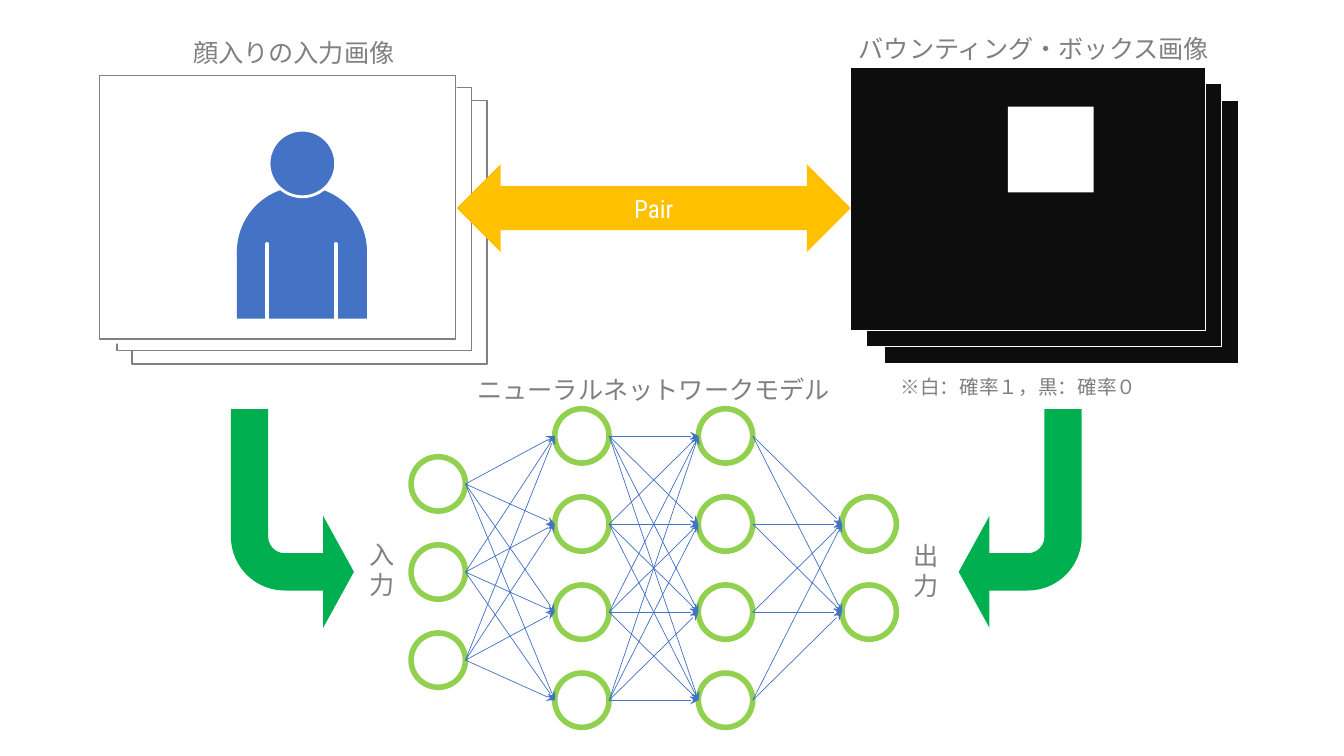
from itertools import pairwise, product
from typing import NamedTuple, Optional

from lxml import etree
from pptx import Presentation
from pptx.dml.color import RGBColor
from pptx.enum.shapes import MSO_CONNECTOR, MSO_SHAPE
from pptx.enum.text import MSO_ANCHOR, PP_ALIGN
from pptx.oxml.ns import qn
from pptx.shapes.autoshape import Shape
from pptx.shapes.connector import Connector
from pptx.slide import Slide
from pptx.util import Cm, Pt

WHITE = RGBColor(0xFF, 0xFF, 0xFF)
BLACK = RGBColor(0x0D, 0x0D, 0x0D)
GRAY = RGBColor(0x80, 0x80, 0x80)
BLUE = RGBColor(0x44, 0x72, 0xC4)
LIME = RGBColor(0x92, 0xD0, 0x50)
GREEN = RGBColor(0x00, 0xB0, 0x50)
GOLD = RGBColor(0xFF, 0xC0, 0x00)

RECT = MSO_SHAPE.RECTANGLE
OVAL = MSO_SHAPE.OVAL
BENT = MSO_SHAPE.BENT_ARROW
PAIR = MSO_SHAPE.LEFT_RIGHT_ARROW
LINE = MSO_CONNECTOR.STRAIGHT
LEFT, CENTER = PP_ALIGN.LEFT, PP_ALIGN.CENTER
MIDDLE = MSO_ANCHOR.MIDDLE

LATIN = "Roboto Condensed"
ASIAN = "Noto Sans CJK JP"


class Form(NamedTuple):
    kind: MSO_SHAPE
    x: float
    y: float
    w: float
    h: float
    fill: Optional[RGBColor] = None
    line: Optional[RGBColor] = None
    width: float = 1


class Label(NamedTuple):
    text: str
    x: float
    y: float
    w: float
    h: float
    size: float = 18
    align: PP_ALIGN = CENTER


class Layer(NamedTuple):
    top: float
    count: int


CARD_W, CARD_H = 8.94, 6.63
BLACKS = [Form(RECT, x, y, CARD_W, CARD_H, BLACK, WHITE)
          for x, y in ((22.28, 2.54), (21.84, 2.11), (21.44, 1.7))]
WHITES = [Form(RECT, x, y, CARD_W, CARD_H, WHITE, GRAY)
          for x, y in ((3.33, 2.54), (2.95, 2.21))]
PERSON = [
    Form(RECT, 2.57, 2.03, CARD_W, CARD_H, WHITE),
    Form(OVAL, 5.97, 4.7, 3.28, 3.3, BLUE),
    Form(OVAL, 6.78, 3.28, 1.68, 1.68, BLUE, WHITE, 2),
    Form(RECT, 5.97, 6.35, 3.28, 1.68, BLUE),
]
ARMS = (6.73, 8.46)
FRAME = Form(RECT, 2.51, 1.91, 8.97, CARD_H, None, GRAY)
BOX = Form(RECT, 25.4, 2.69, 2.16, 2.16, WHITE)

LAYERS = [Layer(11.51, 3), Layer(10.3, 4), Layer(10.3, 4), Layer(12.52, 2)]
NET_X, STEP_X, STEP_Y, NODE = 10.36, 3.62, 2.22, 1.37

LABELS = [
    Label("顔入りの入力画像", 3.86, 0.81, 7.09, 1.03),
    Label("バウンティング・ボックス画像", 21.29, 0.71, 9.53, 1.03),
    Label("※白：確率１，黒：確率０", 22.45, 9.32, 6.81, 0.85, 14, LEFT),
    Label("入力", 9.07, 13.46, 1.55, 1.8, 18, LEFT),
    Label("ニューラルネットワークモデル", 11.05, 9.32, 10.85, 1.03),
    Label("出力", 22.78, 13.49, 1.55, 1.8, 18, LEFT),
]


def add_form(slide: Slide, form: Form) -> Shape:
    shape = slide.shapes.add_shape(
        form.kind, Cm(form.x), Cm(form.y), Cm(form.w), Cm(form.h))
    shape.shadow.inherit = False
    if form.fill is None:
        shape.fill.background()
    else:
        shape.fill.solid()
        shape.fill.fore_color.rgb = form.fill
    if form.line is None:
        shape.line.fill.background()
    else:
        shape.line.color.rgb = form.line
        shape.line.width = Pt(form.width)
    return shape


def add_line(slide: Slide, x1: float, y1: float, x2: float, y2: float,
             color: RGBColor, width: float) -> Connector:
    line = slide.shapes.add_connector(LINE, Cm(x1), Cm(y1), Cm(x2), Cm(y2))
    line.line.color.rgb = color
    line.line.width = Pt(width)
    etree.SubElement(line._element.spPr, qn("a:effectLst"))
    return line


def add_text(shape: Shape, text: str, size: float, face: str,
             color: RGBColor, align: PP_ALIGN) -> None:
    frame = shape.text_frame
    frame.word_wrap = True
    par = frame.paragraphs[0]
    par.alignment = align
    run = par.add_run()
    run.text = text
    run.font.size = Pt(size)
    run.font.name = face
    run.font.color.rgb = color
    asian = etree.SubElement(run._r.get_or_add_rPr(), qn("a:ea"))
    asian.set("typeface", ASIAN)


def add_label(slide: Slide, label: Label) -> None:
    box = slide.shapes.add_textbox(
        Cm(label.x), Cm(label.y), Cm(label.w), Cm(label.h))
    add_text(box, label.text, label.size, ASIAN, GRAY, label.align)


def add_net(slide: Slide) -> None:
    # Nodes, layer by layer
    nodes = [[(NET_X + col * STEP_X, layer.top + row * STEP_Y)
              for row in range(layer.count)]
             for col, layer in enumerate(LAYERS)]
    for x, y in (node for layer in nodes for node in layer):
        add_form(slide, Form(OVAL, x, y, NODE, NODE, None, LIME, 4))
    # Every node feeds every node of the next layer
    for near, far in pairwise(nodes):
        for (x1, y1), (x2, y2) in product(near, far):
            edge = add_line(slide, x1 + NODE, y1 + NODE / 2,
                            x2, y2 + NODE / 2, BLUE, 0.5)
            tip = etree.SubElement(edge.line._get_or_add_ln(), qn("a:tailEnd"))
            tip.set("type", "stealth")


def add_bend(slide: Slide, x: float, flip: bool) -> None:
    bend = add_form(slide, Form(BENT, x, 10.31, 3.1, 5.51, GREEN))
    for index, value in enumerate((0.303, 0.455, 0.25, 0.438)):
        bend.adjustments[index] = value
    bend.rotation = 180
    if flip:
        bend._element.spPr.xfrm.set("flipH", "1")


def main() -> None:
    deck = Presentation()
    deck.slide_width, deck.slide_height = Cm(33.87), Cm(19.05)
    slide = deck.slides.add_slide(deck.slide_layouts[6])

    # Image stacks and the person
    for form in BLACKS + WHITES + PERSON:
        add_form(slide, form)
    for x in ARMS:
        arm = add_line(slide, x, 6.15, x, 8.36, WHITE, 3)
        arm.line._get_or_add_ln().set("cap", "rnd")
    add_form(slide, FRAME)
    add_form(slide, BOX)

    # Neural network
    add_net(slide)

    # Block arrows
    add_bend(slide, 24.16, False)
    add_bend(slide, 5.82, True)
    pair = add_form(slide, Form(PAIR, 11.51, 4.14, 9.93, 2.21, GOLD))
    pair.text_frame.vertical_anchor = MIDDLE
    add_text(pair, "Pair", 18, LATIN, WHITE, CENTER)

    # Captions
    for label in LABELS:
        add_label(slide, label)

    deck.save("out.pptx")


if __name__ == "__main__":
    main()
